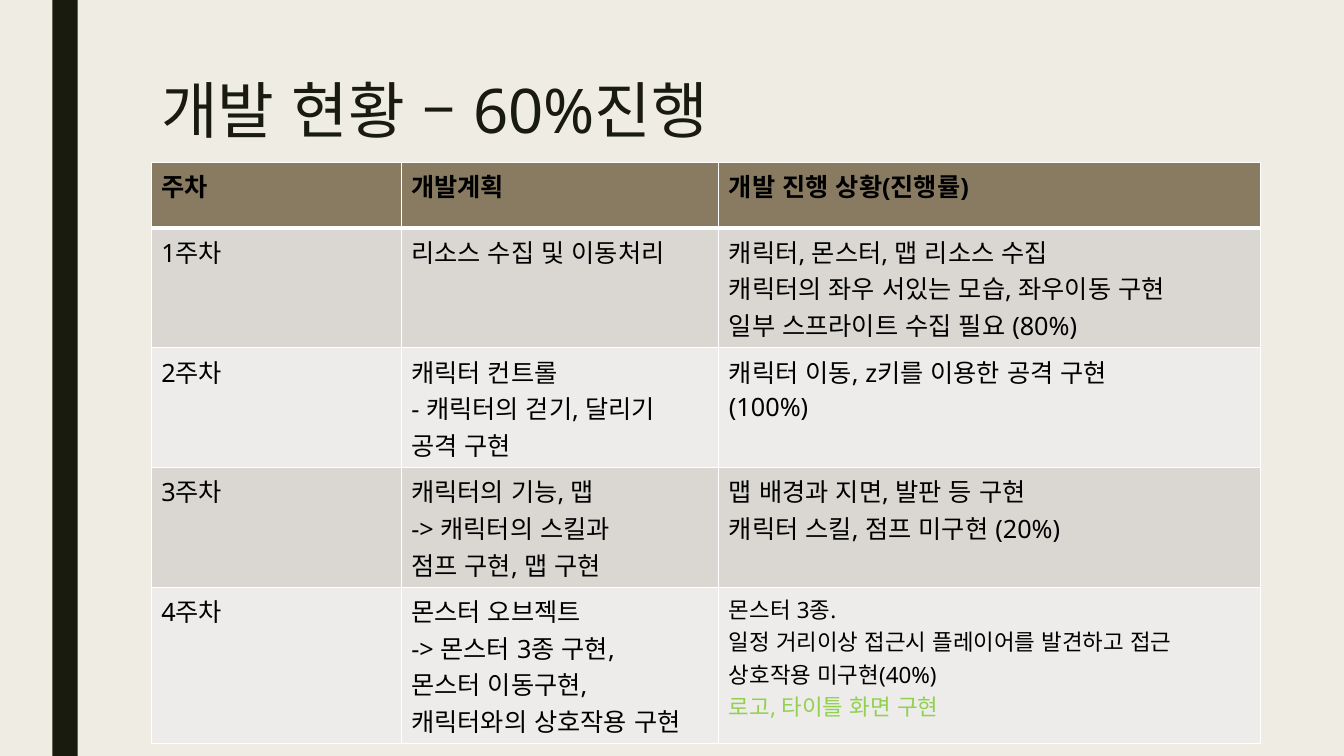
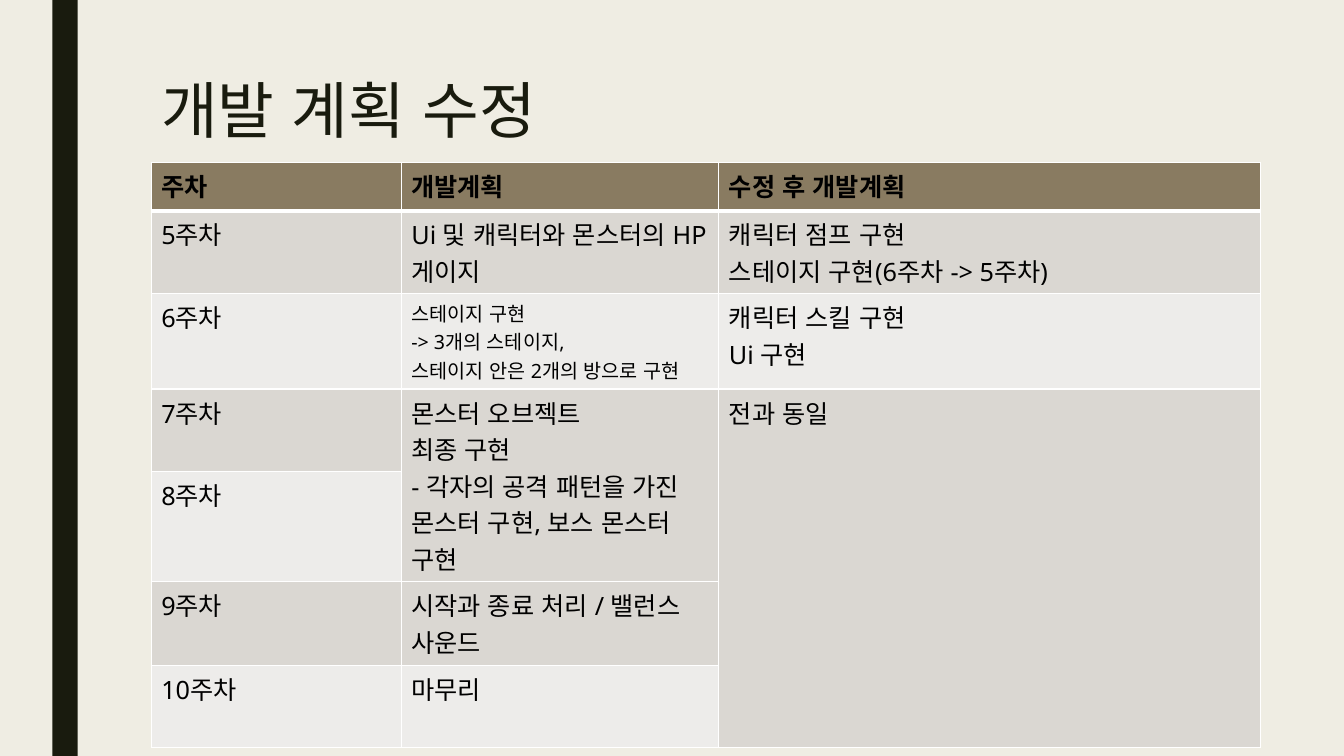
from dataclasses import dataclass

from lxml.etree import SubElement
from pptx import Presentation
from pptx.dml.color import RGBColor
from pptx.enum.lang import MSO_LANGUAGE_ID
from pptx.enum.shapes import MSO_SHAPE
from pptx.enum.text import MSO_ANCHOR
from pptx.oxml.ns import qn
from pptx.util import Inches, Pt


@dataclass
class Entry:
    """Cell text whose size or last line differs from the usual."""
    text: str
    size: int = 18
    last_line: str = "text"


STATUS = {
    "title": "개발 현황 – 60%진행",
    "heights": [0.65, 1.19, 1.19, 1.19, 1.55],
    "merges": [],
    "rows": [
        ("주차", "개발계획", "개발 진행 상황(진행률)"),
        ("1주차", "리소스 수집 및 이동처리",
         "캐릭터, 몬스터, 맵 리소스 수집\n캐릭터의 좌우 서있는 모습, 좌우이동 구현\n"
         "일부 스프라이트 수집 필요 (80%)"),
        ("2주차", "캐릭터 컨트롤\n- 캐릭터의 걷기, 달리기\n공격 구현",
         "캐릭터 이동, z키를 이용한 공격 구현\n(100%)"),
        ("3주차", "캐릭터의 기능, 맵\n-> 캐릭터의 스킬과\n점프 구현, 맵 구현",
         "맵 배경과 지면, 발판 등 구현\n캐릭터 스킬, 점프 미구현 (20%)"),
        ("4주차",
         "몬스터 오브젝트\n-> 몬스터 3종 구현,\n몬스터 이동구현, 캐릭터와의 상호작용 구현",
         Entry("몬스터 3종.\n일정 거리이상 접근시 플레이어를 발견하고 접근\n"
               "상호작용 미구현(40%)\n로고, 타이틀 화면 구현", 16, "extra")),
    ],
}
REVISION = {
    "title": "개발 계획 수정",
    "heights": [0.48, 0.82, 0.95, 0.82, 1.09, 0.83, 0.82],
    "merges": [((3, 1), (4, 1)), ((3, 2), (6, 2))],
    "rows": [
        ("주차", "개발계획", "수정 후 개발계획"),
        ("5주차", "Ui 및 캐릭터와 몬스터의 HP 게이지",
         "캐릭터 점프 구현\n스테이지 구현(6주차 -> 5주차)"),
        ("6주차",
         Entry("스테이지 구현\n-> 3개의 스테이지,\n스테이지 안은 2개의 방으로 구현", 14),
         "캐릭터 스킬 구현\nUi 구현"),
        ("7주차",
         "몬스터 오브젝트\n최종 구현\n- 각자의 공격 패턴을 가진\n몬스터 구현, 보스 몬스터 구현",
         "전과 동일"),
        ("8주차", None, None),
        ("9주차", "시작과 종료 처리 / 밸런스\n사운드", None),
        ("10주차", "마무리", None),
    ],
}

COLORS = {"paper": "EFEDE3", "ink": "191B0E", "head": "897B61", "odd": "DAD7D2",
          "even": "EDECEA", "rule": "FFFFFF", "text": "000000", "extra": "92D050"}
FONT = "Noto Sans"
SLIDE_W, SLIDE_H = 13.33, 7.5
LEFT = 1.5
BAND = (0.52, 0, 0.25, SLIDE_H)
TITLE = (LEFT, 0.75, 10.5, 1.62)
TABLE_TOP = 1.61
COLUMNS = [2.48, 3.15, 5.37]


def color(name):
    """Look up a named colour."""
    return RGBColor.from_string(COLORS[name])


def paint(fill, name):
    """Fill with one solid colour."""
    fill.solid()
    fill.fore_color.rgb = color(name)


def style(run, size, ink, bold=False):
    """Give a run its font, size, weight and colour."""
    look = {"name": FONT, "size": Pt(size), "bold": bold,
            "language_id": MSO_LANGUAGE_ID.KOREAN}
    for key, value in look.items():
        setattr(run.font, key, value)
    run.font.color.rgb = color(ink)


def rule_cell(cell, row):
    """Draw the white borders, heavier under the header row."""
    widths = {"L": 1, "R": 1, "T": 3 if row == 1 else 1, "B": 3 if row == 0 else 1}
    for side, width in widths.items():
        line = SubElement(cell._tc.get_or_add_tcPr(), qn(f"a:ln{side}"), w=str(Pt(width)))
        solid = SubElement(line, qn("a:solidFill"))
        SubElement(solid, qn("a:srgbClr"), val=COLORS["rule"])


def write_cell(cell, entry, bold):
    """Write each line of an entry as a paragraph."""
    if isinstance(entry, str):
        entry = Entry(entry)
    lines = entry.text.split("\n")
    frame = cell.text_frame
    for number, line in enumerate(lines):
        paragraph = frame.add_paragraph() if number else frame.paragraphs[0]
        run = paragraph.add_run()
        run.text = line
        ink = entry.last_line if number == len(lines) - 1 else "text"
        style(run, entry.size, ink, bold)


def add_frame(slide, title):
    """Add the side band and the title."""
    band = slide.shapes.add_shape(MSO_SHAPE.RECTANGLE, *map(Inches, BAND))
    band.shadow.inherit = False
    paint(band.fill, "ink")
    band.line.fill.background()
    frame = slide.shapes.add_textbox(*map(Inches, TITLE)).text_frame
    frame.word_wrap = True
    frame.vertical_anchor = MSO_ANCHOR.TOP
    heading = frame.paragraphs[0]
    heading.line_spacing = 0.89
    run = heading.add_run()
    run.text = title
    style(run, 44, "ink")


def add_schedule(slide, plan):
    """Add the weekly table with banded rows and merged cells."""
    rows, heights = plan["rows"], plan["heights"]
    box = map(Inches, (LEFT, TABLE_TOP, sum(COLUMNS), sum(heights)))
    table = slide.shapes.add_table(len(rows), len(COLUMNS), *box).table
    table.horz_banding = False
    for column, width in zip(table.columns, COLUMNS):
        column.width = Inches(width)
    for index, entries in enumerate(rows):
        table.rows[index].height = Inches(heights[index])
        band = "head" if index == 0 else ("even", "odd")[index % 2]
        for cell, entry in zip(table.rows[index].cells, entries):
            rule_cell(cell, index)
            paint(cell.fill, band)
            if entry:
                write_cell(cell, entry, index == 0)
    for first, last in plan["merges"]:
        table.cell(*first).merge(table.cell(*last))


def build():
    """Build and save the presentation."""
    deck = Presentation()
    deck.slide_width, deck.slide_height = Inches(SLIDE_W), Inches(SLIDE_H)
    paint(deck.slide_master.background.fill, "paper")
    for plan in (STATUS, REVISION):
        slide = deck.slides.add_slide(deck.slide_layouts[6])
        add_frame(slide, plan["title"])
        add_schedule(slide, plan)
    deck.save("out.pptx")


build()
